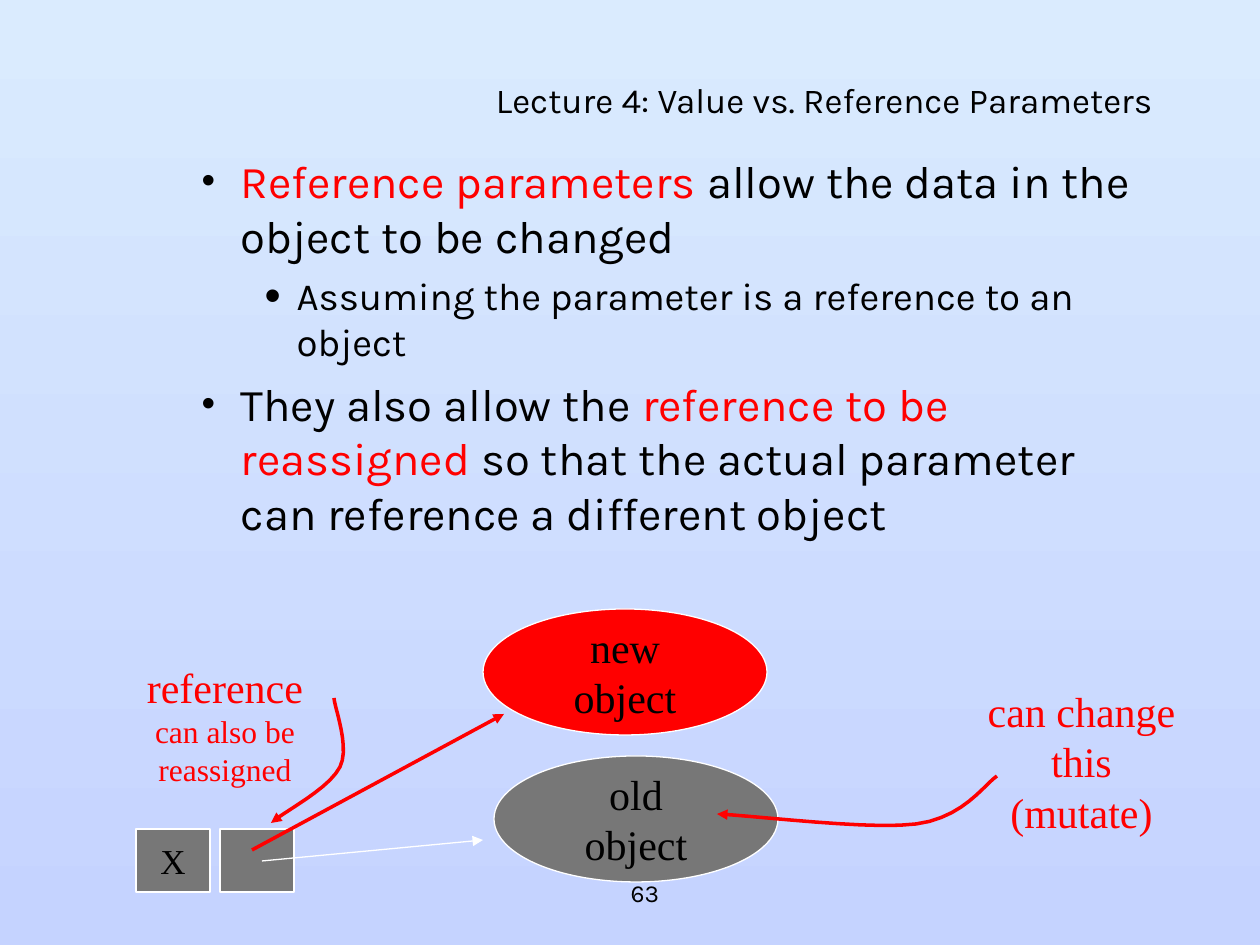
from dataclasses import dataclass
from typing import Any

from lxml import etree
from pptx import Presentation
from pptx import util as u
from pptx.dml import color
from pptx.enum import shapes, text
from pptx.oxml import ns

SCALE = 914400 / 126
CURVE_STEPS = 10

BLACK = color.RGBColor(0x00, 0x00, 0x00)
WHITE = color.RGBColor(0xFF, 0xFF, 0xFF)
RED = color.RGBColor(0xFF, 0x00, 0x00)
GRAY = color.RGBColor(0x77, 0x77, 0x77)
SKY_TOP = color.RGBColor(0xDA, 0xEB, 0xFE)
SKY_BOTTOM = color.RGBColor(0xC5, 0xD3, 0xFF)

SANS = "Karla"
SERIF = "Times New Roman"
RECTANGLE = shapes.MSO_SHAPE.RECTANGLE
OVAL = shapes.MSO_SHAPE.OVAL
Point = tuple[int, int]
Box = tuple[int, int, int, int]


@dataclass(frozen=True)
class Line:
    content: str
    size: int
    fill: color.RGBColor = BLACK
    font: str = SERIF


@dataclass(frozen=True)
class Node:
    kind: shapes.MSO_SHAPE
    box: Box
    fill: color.RGBColor
    lines: tuple[Line, ...] = ()


@dataclass(frozen=True)
class Label:
    box: Box
    lines: tuple[Line, ...]


@dataclass(frozen=True)
class Arrow:
    start: Point
    end: Point
    fill: color.RGBColor
    width: float


@dataclass(frozen=True)
class Curve:
    points: tuple[Point, ...]


@dataclass(frozen=True)
class Bullet:
    level: int
    size: int
    margin: int
    hanging: int
    before: float
    scale: int
    runs: tuple[tuple[str, color.RGBColor], ...]


def px(value: float) -> int:
    return round(value * SCALE)


def apply(target: Any, values: dict[str, Any]) -> None:
    for name, value in values.items():
        setattr(target, name, value)


def place(shape: Any, box: Box) -> None:
    apply(shape, dict(zip(("left", "top", "width", "height"), map(px, box))))


def style_font(run: Any, size: int, fill: color.RGBColor, font: str) -> None:
    apply(run.font, {"size": u.Pt(size), "name": font})
    run.font.color.rgb = fill


def write_lines(shape: Any, lines: tuple[Line, ...]) -> None:
    frame = shape.text_frame
    apply(frame, {"word_wrap": False, "vertical_anchor": text.MSO_ANCHOR.MIDDLE})
    for index, line in enumerate(lines):
        paragraph = frame.add_paragraph() if index else frame.paragraphs[0]
        apply(paragraph, {"text": line.content, "alignment": text.PP_ALIGN.CENTER})
        for run in paragraph.runs:
            style_font(run, line.size, line.fill, line.font)


def style_line(shape: Any, fill: color.RGBColor, width: float) -> None:
    shape.line.color.rgb = fill
    shape.line.width = u.Pt(width)


def add_arrowhead(shape: Any) -> None:
    outline = shape.line._get_or_add_ln()
    etree.SubElement(outline, ns.qn("a:tailEnd"), type="triangle")


def draw_node(slide: Any, node: Node) -> None:
    shape = slide.shapes.add_shape(node.kind, *map(px, node.box))
    shape.shadow.inherit = False
    shape.fill.solid()
    shape.fill.fore_color.rgb = node.fill
    style_line(shape, WHITE, 0.75)
    write_lines(shape, node.lines)


def draw_label(slide: Any, label: Label) -> None:
    write_lines(slide.shapes.add_textbox(*map(px, label.box)), label.lines)


def draw_arrow(slide: Any, arrow: Arrow) -> None:
    shape = slide.shapes.add_connector(
        shapes.MSO_CONNECTOR.STRAIGHT, *map(px, arrow.start + arrow.end)
    )
    style_line(shape, arrow.fill, arrow.width)
    add_arrowhead(shape)
    etree.SubElement(shape._element.spPr, ns.qn("a:effectLst"))


def bezier(controls: tuple[Point, ...], t: float) -> Point:
    weights = ((1 - t) ** 3, 3 * t * (1 - t) ** 2, 3 * t**2 * (1 - t), t**3)
    x, y = (sum(w * v for w, v in zip(weights, axis)) for axis in zip(*controls))
    return px(x), px(y)


def draw_curve(slide: Any, curve: Curve) -> None:
    vertices = [
        bezier(curve.points[first:first + 4], step / CURVE_STEPS)
        for first in range(0, len(curve.points) - 1, 3)
        for step in range(1, CURVE_STEPS + 1)
    ]
    builder = slide.shapes.build_freeform(*map(px, curve.points[0]))
    builder.add_line_segments(vertices, close=False)
    shape = builder.convert_to_shape()
    shape.shadow.inherit = False
    shape.fill.background()
    style_line(shape, RED, 2)
    add_arrowhead(shape)


def write_bullet(paragraph: Any, bullet: Bullet) -> None:
    properties = paragraph._p.get_or_add_pPr()
    properties.set("marL", str(px(bullet.margin)))
    properties.set("indent", str(-px(bullet.hanging)))
    tint = etree.SubElement(properties, ns.qn("a:buClr"))
    etree.SubElement(tint, ns.qn("a:srgbClr"), val=str(BLACK))
    etree.SubElement(properties, ns.qn("a:buSzPct"), val=str(bullet.scale * 1000))
    etree.SubElement(properties, ns.qn("a:buChar"), char="•")
    apply(paragraph, {"level": bullet.level, "space_before": u.Pt(bullet.before)})
    for content, fill in bullet.runs:
        run = paragraph.add_run()
        run.text = content
        style_font(run, bullet.size, fill, SANS)


def main_bullet(before: float, *runs: tuple[str, color.RGBColor]) -> Bullet:
    return Bullet(0, 26, 102, 39, before, 85, runs)


BULLETS = (
    main_bullet(0, ("Reference parameters", RED),
                (" allow the data in the object to be changed", BLACK)),
    Bullet(1, 22, 158, 32, 5.5, 120,
           (("Assuming the parameter is a reference to an object", BLACK),)),
    main_bullet(6.5, ("They also allow the ", BLACK), ("reference to be reassigned", RED),
                (" so that the actual parameter can reference a different object", BLACK)),
)
DRAWING = (
    (draw_label, Label((514, 861, 262, 63), (Line("63", 14, font=SANS),))),
    (draw_node, Node(RECTANGLE, (136, 829, 74, 63), GRAY, (Line("X", 20),))),
    (draw_node, Node(RECTANGLE, (220, 829, 74, 63), GRAY)),
    (draw_node, Node(OVAL, (494, 756, 284, 126), GRAY, (Line("old\nobject", 24),))),
    (draw_arrow, Arrow((262, 861), (483, 840), WHITE, 0.75)),
    (draw_label, Label((966, 672, 231, 178),
                       (Line("can change\nthis", 24, RED), Line("(mutate)", 24, RED)))),
    (draw_curve, Curve(((997, 776), (984, 785), (963, 818), (916, 824),
                        (869, 830), (759, 816), (717, 814)))),
    (draw_label, Label((94, 651, 262, 147),
                       (Line("reference", 24, RED), Line("can also be\nreassigned", 18, RED)))),
    (draw_curve, Curve(((334, 698), (335, 709), (350, 747), (340, 767),
                        (329, 789), (285, 811), (271, 823)))),
    (draw_node, Node(OVAL, (483, 609, 284, 126), RED, (Line("new\nobject", 24),))),
    (draw_arrow, Arrow((252, 850), (504, 714), RED, 2)),
)


def main() -> None:
    presentation = Presentation()
    apply(presentation, {"slide_width": px(1260), "slide_height": px(945)})
    slide = presentation.slides.add_slide(presentation.slide_layouts[1])
    background = slide.background.fill
    background.gradient()
    background.gradient_angle = 270
    for stop, fill in zip(background.gradient_stops, (SKY_TOP, SKY_BOTTOM)):
        stop.color.rgb = fill

    title, body = slide.placeholders
    place(title, (126, 84, 1040, 42))
    place(body, (126, 147, 1040, 693))
    for frame in (title.text_frame, body.text_frame):
        frame.auto_size = text.MSO_AUTO_SIZE.NONE
    heading = title.text_frame.paragraphs[0]
    apply(heading, {"text": "Lecture 4: Value vs. Reference Parameters",
                    "alignment": text.PP_ALIGN.RIGHT, "line_spacing": 0.7})
    style_font(heading.runs[0], 20, BLACK, SANS)
    for index, bullet in enumerate(BULLETS):
        frame = body.text_frame
        write_bullet(frame.add_paragraph() if index else frame.paragraphs[0], bullet)

    for draw, item in DRAWING:
        draw(slide, item)
    presentation.save("out.pptx")


if __name__ == "__main__":
    main()
